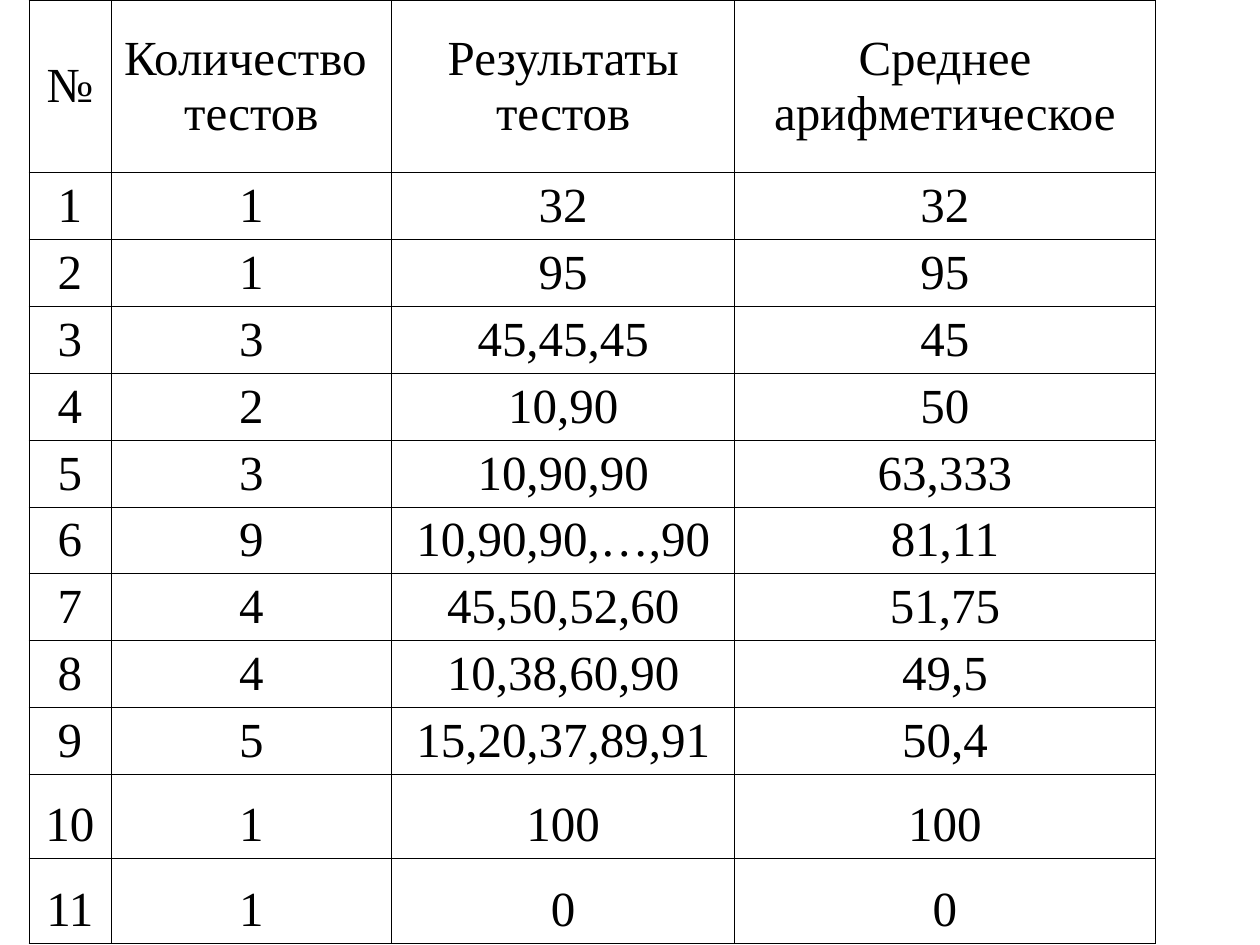
from typing import NamedTuple

from lxml.etree import SubElement
from pptx import Presentation
from pptx.dml.color import RGBColor
from pptx.enum.text import MSO_ANCHOR as Anchor, PP_ALIGN as Align
from pptx.oxml.ns import qn
from pptx.util import Inches, Pt

BLACK = RGBColor(0x00, 0x00, 0x00)
FONT = "Times New Roman"
TEXT_SIZE = Pt(28)
BORDER_WIDTH = Pt(0.45)
COLUMN_WIDTHS = (0.65, 2.23, 2.72, 3.34)


class TestRow(NamedTuple):
    number: str
    count: str
    results: str
    mean: str
    height: float = 0.53
    anchor: Anchor = Anchor.BOTTOM


ROWS = (
    TestRow("№", "Количество \nтестов", "Результаты тестов",
            "Среднее арифметическое", 1.37, Anchor.MIDDLE),
    TestRow("1", "1", "32", "32"),
    TestRow("2", "1", "95", "95"),
    TestRow("3", "3", "45,45,45", "45"),
    TestRow("4", "2", "10,90", "50"),
    TestRow("5", "3", "10,90,90", "63,333"),
    TestRow("6", "9", "10,90,90,…,90", "81,11"),
    TestRow("7", "4", "45,50,52,60", "51,75"),
    TestRow("8", "4", "10,38,60,90", "49,5"),
    TestRow("9", "5", "15,20,37,89,91", "50,4"),
    TestRow("10", "1", "100", "100", 0.67),
    TestRow("11", "1", "0", "0", 0.67),
)


def add_borders(cell) -> None:
    properties = cell._tc.get_or_add_tcPr()
    for side in ("a:lnL", "a:lnR", "a:lnT", "a:lnB"):
        line = SubElement(properties, qn(side), w=str(int(BORDER_WIDTH)))
        fill = SubElement(line, qn("a:solidFill"))
        SubElement(fill, qn("a:srgbClr"), val=str(BLACK))


def write_cell(cell, text: str, anchor: Anchor) -> None:
    # Borders come before the fill in the cell properties
    add_borders(cell)
    cell.fill.background()
    cell.vertical_anchor = anchor
    cell.margin_left = cell.margin_right = Inches(0.08)
    cell.margin_top = cell.margin_bottom = Inches(0.05)
    frame = cell.text_frame
    for index, words in enumerate(text.split("\n")):
        paragraph = frame.add_paragraph() if index else frame.paragraphs[0]
        paragraph.alignment = Align.CENTER
        run = paragraph.add_run()
        run.text = words
        run.font.name = FONT
        run.font.size = TEXT_SIZE
        run.font.color.rgb = BLACK


def add_results_table(slide) -> None:
    table = slide.shapes.add_table(
        len(ROWS), len(COLUMN_WIDTHS), Inches(0.23), Inches(0),
        Inches(sum(COLUMN_WIDTHS)), Inches(sum(row.height for row in ROWS)),
    ).table
    table.first_row = table.horz_banding = False
    for column, width in zip(table.columns, COLUMN_WIDTHS):
        column.width = Inches(width)
    for table_row, test in zip(table.rows, ROWS):
        table_row.height = Inches(test.height)
        for cell, text in zip(table_row.cells, test[:4]):
            write_cell(cell, text, test.anchor)


def main() -> None:
    deck = Presentation()
    deck.slide_width, deck.slide_height = Inches(10), Inches(7.5)
    # Blank layout: the table fills the slide
    add_results_table(deck.slides.add_slide(deck.slide_layouts[6]))
    deck.save("out.pptx")


if __name__ == "__main__":
    main()
